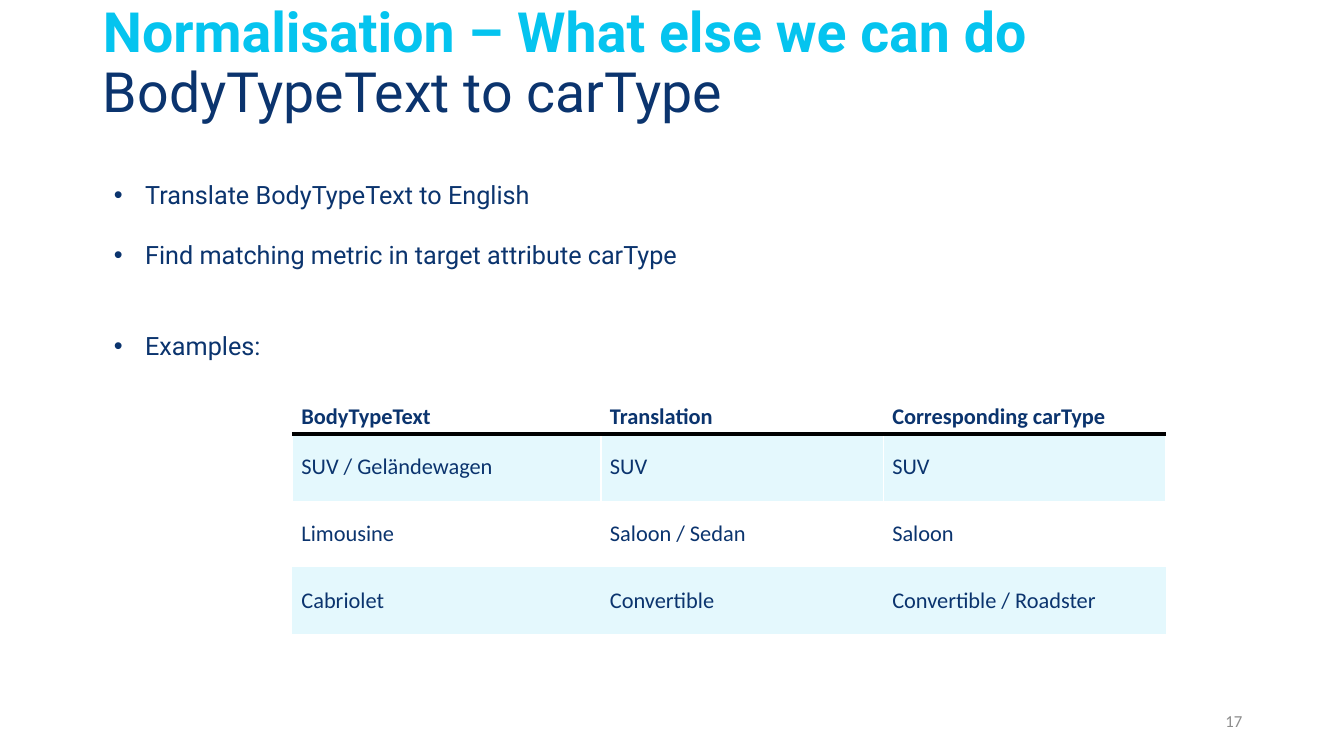
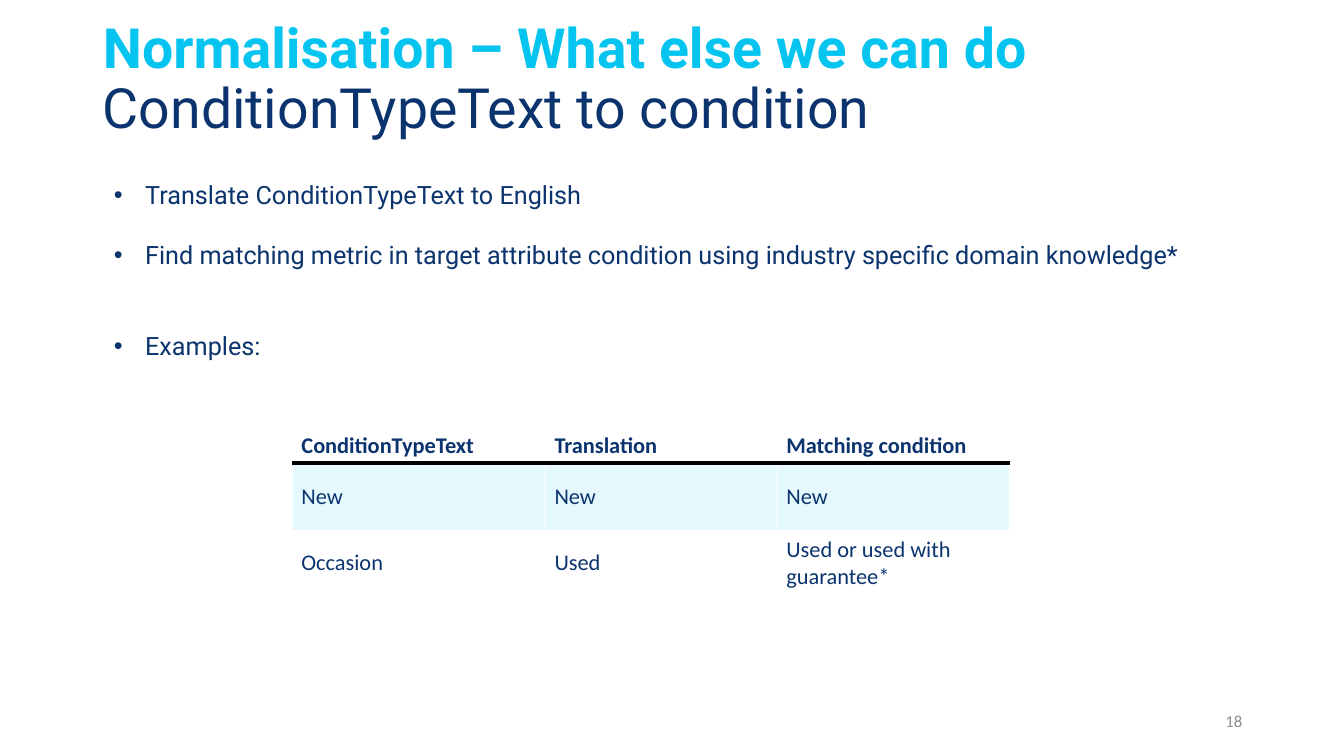
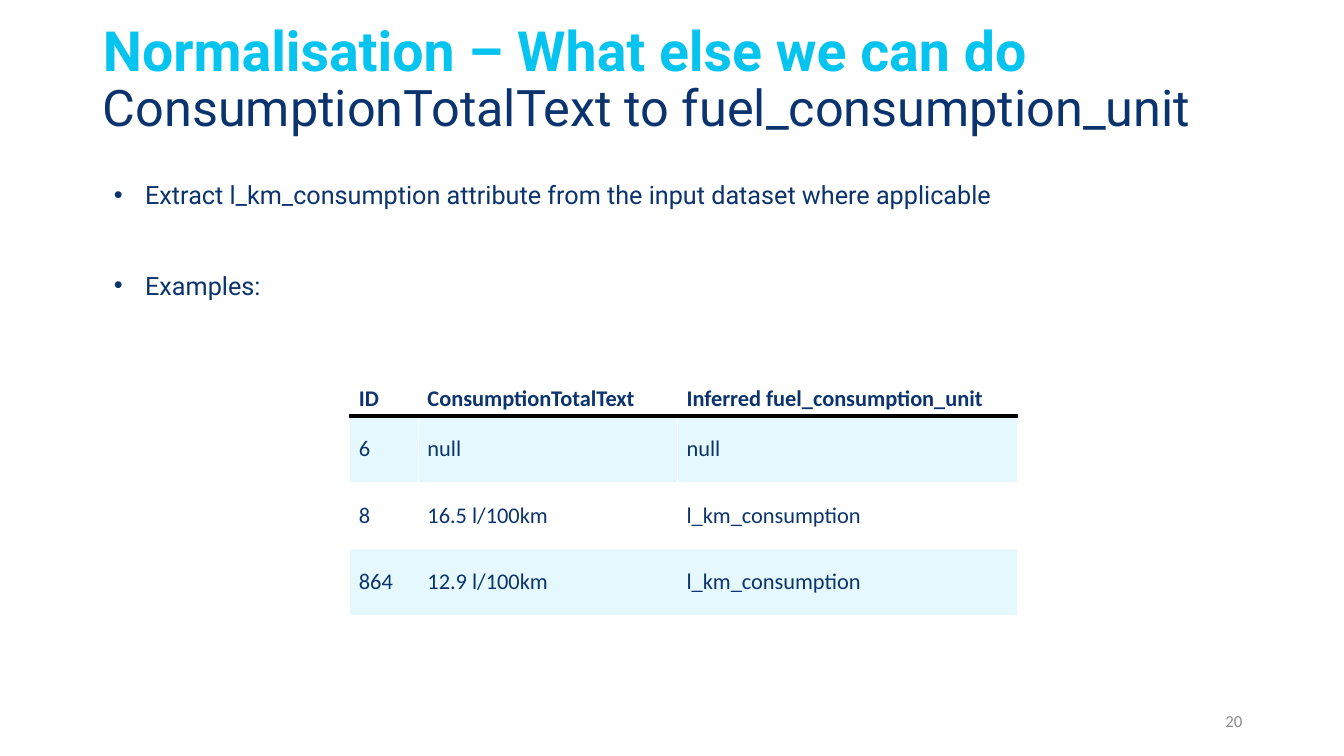
from lxml.etree import SubElement
from pptx import Presentation
from pptx.dml.color import RGBColor
from pptx.enum.text import MSO_ANCHOR as Anchor, MSO_AUTO_SIZE as AutoSize, PP_ALIGN as Align
from pptx.oxml.ns import qn
from pptx.util import Inches, Pt

CYAN = RGBColor(0x05, 0xC4, 0xEF)
NAVY = RGBColor(0x0B, 0x34, 0x6E)
GREY = RGBColor(0x8C, 0x8C, 0x8C)
BLACK = RGBColor(0, 0, 0)
WHITE = RGBColor(0xFF, 0xFF, 0xFF)
PALE = RGBColor(0xE4, 0xF8, 0xFD)

HEADING = "Normalisation – What else we can do"
HEADING_FONT = {"name": "Roboto", "size": Pt(39.6), "bold": True}
BULLET_FONT = {"name": "Roboto", "size": Pt(18)}
CELL_FONT = {"name": "Calibri", "size": Pt(16)}
NUMBER_FONT = {"name": "Calibri", "size": Pt(12)}
CELL_FORMAT = {
    "vertical_anchor": Anchor.MIDDLE,
    "margin_left": Inches(0.09), "margin_right": Inches(0.09),
    "margin_top": Inches(0.04), "margin_bottom": Inches(0.04),
}
BULLET_INDENT = Inches(0.31)
BLANK_LINE = 21.5
HEADER_HEIGHT, ROW_HEIGHT = 0.32, 0.66
THIN, RULE = (WHITE, 1), (BLACK, 3)
HEADER_BORDERS = {"lnL": THIN, "lnR": THIN, "lnT": THIN, "lnB": RULE}
FIRST_ROW_BORDERS = {"lnL": THIN, "lnR": THIN, "lnT": RULE}

SLIDES = [
    {
        "number": 17, "topic": "BodyTypeText to carType",
        "topic_size": 39.6, "title_top": 0.24, "list_height": 2.52,
        "bullets": [
            ("Translate BodyTypeText to English", 0),
            ("Find matching metric in target attribute carType", 1),
            ("Examples:", 2),
        ],
        "table_at": (2.9, 3.96), "columns": (3.06, 2.8, 2.8),
        "rows": [
            ("BodyTypeText", "Translation", "Corresponding carType"),
            ("SUV / Geländewagen", "SUV", "SUV"),
            ("Limousine", "Saloon / Sedan", "Saloon"),
            ("Cabriolet", "Convertible", "Convertible / Roadster"),
        ],
    },
    {
        "number": 18, "topic": "ConditionTypeText to condition",
        "topic_size": 39.6, "title_top": 0.4, "list_height": 2.52,
        "bullets": [
            ("Translate ConditionTypeText to English", 0),
            ("Find matching metric in target attribute condition using "
             "industry specific domain knowledge*", 1),
            ("Examples:", 2),
        ],
        "table_at": (2.9, 4.25), "columns": (2.51, 2.3, 2.3),
        "rows": [
            ("ConditionTypeText", "Translation", "Matching condition"),
            ("New", "New", "New"),
            ("Occasion", "Used", "Used or used with guarantee*"),
        ],
    },
    {
        "number": 20, "topic": "ConsumptionTotalText to fuel_consumption_unit",
        "topic_size": 36, "title_top": 0.4, "list_height": 1.92,
        "bullets": [
            ("Extract l_km_consumption attribute from the input dataset where applicable", 0),
            ("Examples:", 2),
        ],
        "table_at": (3.47, 3.78), "columns": (0.68, 2.57, 3.37),
        "rows": [
            ("ID", "ConsumptionTotalText", "Inferred fuel_consumption_unit"),
            ("6", "null", "null"),
            ("8", "16.5 l/100km", "l_km_consumption"),
            ("864", "12.9 l/100km", "l_km_consumption"),
        ],
    },
]


def apply(target, values):
    for name, value in values.items():
        setattr(target, name, value)


def place(box, left, top, width, height):
    apply(box, {"left": Inches(left), "top": Inches(top),
                "width": Inches(width), "height": Inches(height)})


def write(para, text, font, color, **changes):
    span = para.add_run()
    span.text = text
    apply(span.font, font | changes)
    span.font.color.rgb = color


def paragraphs(frame, count):
    return [frame.paragraphs[0]] + [frame.add_paragraph() for _ in range(count - 1)]


def add_title(page, topic, topic_size, top):
    title = page.shapes.title
    place(title, 0.92, top, 11.5, 1.45)
    frame = title.text_frame
    apply(frame, {"word_wrap": True, "auto_size": AutoSize.NONE,
                  "vertical_anchor": Anchor.MIDDLE, "margin_bottom": Inches(0.7)})
    first, second = paragraphs(frame, 2)
    for para in (first, second):
        apply(para, {"alignment": Align.LEFT, "line_spacing": 0.9, "space_before": Pt(0)})
    write(first, HEADING, HEADING_FONT, CYAN)
    write(second, topic, HEADING_FONT, NAVY, size=Pt(topic_size), bold=False)


def add_bullets(page, bullets, height):
    body = page.placeholders[1]
    place(body, 1.03, 1.73, 11.5, height)
    frame = body.text_frame
    apply(frame, {"word_wrap": True, "auto_size": AutoSize.NONE})
    for para, (text, blank_lines) in zip(paragraphs(frame, len(bullets)), bullets):
        para.space_before = Pt(blank_lines * BLANK_LINE)
        properties = para._p.get_or_add_pPr()
        properties.set("marL", str(BULLET_INDENT))
        properties.set("indent", str(-BULLET_INDENT))
        SubElement(properties, qn("a:buFont"), typeface="Arial")
        SubElement(properties, qn("a:buChar"), char="•")
        write(para, text, BULLET_FONT, NAVY)


def set_borders(cell, borders):
    properties = cell._tc.get_or_add_tcPr()
    for side in ("lnL", "lnR", "lnT", "lnB"):
        color, width = borders.get(side, (None, 0))
        line = SubElement(properties, qn(f"a:{side}"), w=str(Pt(width)))
        if color is None:
            SubElement(line, qn("a:noFill"))
        else:
            fill = SubElement(line, qn("a:solidFill"))
            SubElement(fill, qn("a:srgbClr"), val=str(color))


def add_examples(page, rows, columns, at):
    heights = [HEADER_HEIGHT] + [ROW_HEIGHT] * (len(rows) - 1)
    lengths = (*at, sum(columns), sum(heights))
    table = page.shapes.add_table(len(rows), len(columns), *map(Inches, lengths)).table
    apply(table, {"first_row": False, "horz_banding": False})
    for column, width in zip(table.columns, columns):
        column.width = Inches(width)
    for index, (values, height) in enumerate(zip(rows, heights)):
        table.rows[index].height = Inches(height)
        borders = {0: HEADER_BORDERS, 1: FIRST_ROW_BORDERS}.get(index, {})
        for cell, value in zip(table.rows[index].cells, values):
            apply(cell, CELL_FORMAT)
            set_borders(cell, borders)
            cell.fill.solid()
            cell.fill.fore_color.rgb = PALE if index % 2 else WHITE
            write(cell.text_frame.paragraphs[0], value, CELL_FONT, NAVY, bold=index == 0)


def add_number(page, number):
    box = page.shapes.add_textbox(*map(Inches, (9.42, 6.95, 3, 0.4)))
    apply(box.text_frame, {"word_wrap": True, "vertical_anchor": Anchor.MIDDLE})
    para = box.text_frame.paragraphs[0]
    para.alignment = Align.RIGHT
    write(para, str(number), NUMBER_FONT, GREY)


def main():
    deck = Presentation()
    apply(deck, {"slide_width": Inches(13.33), "slide_height": Inches(7.5)})
    for content in SLIDES:
        page = deck.slides.add_slide(deck.slide_layouts[1])
        add_title(page, content["topic"], content["topic_size"], content["title_top"])
        add_number(page, content["number"])
        add_examples(page, content["rows"], content["columns"], content["table_at"])
        add_bullets(page, content["bullets"], content["list_height"])
    deck.save("out.pptx")


if __name__ == "__main__":
    main()
